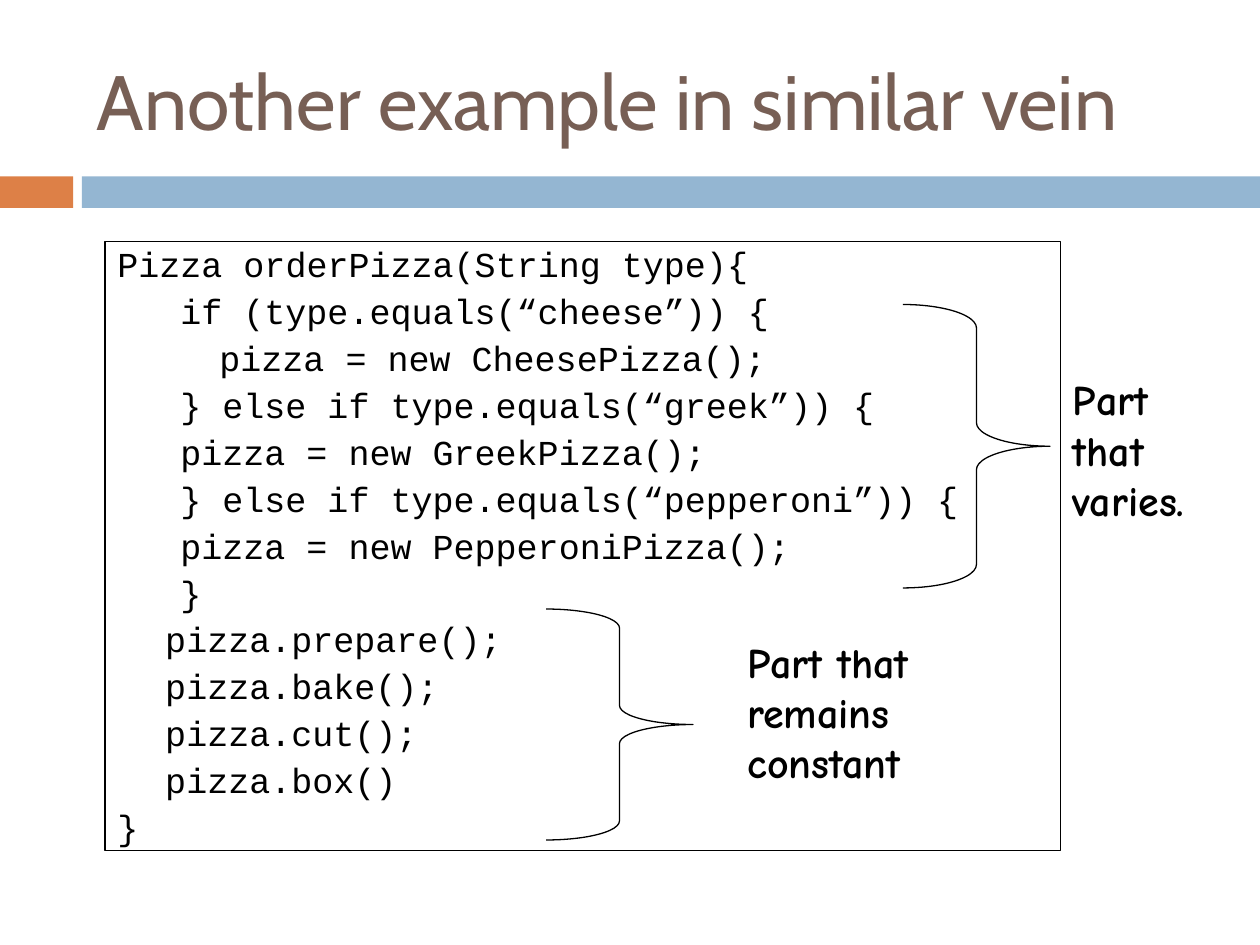
from pptx import Presentation
from pptx.dml.color import RGBColor
from pptx.enum.shapes import MSO_SHAPE as SHAPE
from pptx.enum.text import MSO_ANCHOR as ANCHOR, MSO_AUTO_SIZE as AUTO, PP_ALIGN as ALIGN
from pptx.util import Inches, Pt

COL = ROW = Inches(1 / 12)
CODE = [
    (0, "Pizza orderPizza(String type){"),
    (1, "if (type.equals(“cheese”)) {"),
    (1, "\tpizza = new CheesePizza();"),
    (1, "} else if type.equals(“greek”)) {"),
    (1, "pizza = new GreekPizza();"),
    (1, "} else if type.equals(“pepperoni”)) {"),
    (1, "pizza = new PepperoniPizza();"),
    (1, "}"),
    (0, "\tpizza.prepare();"),
    (0, "\tpizza.bake();"),
    (0, "\tpizza.cut();"),
    (0, "\tpizza.box()"),
    (0, "}"),
]
INDENTS = [(0.38, -0.38), (0.81, -0.31)]


def rgb(color):
    return RGBColor.from_string(color)


def grid(left, top, width, height):
    return int(left * COL), int(top * ROW), int(width * COL), int(height * ROW)


def style(font, name, size, color, bold=False):
    font.name, font.size, font.bold = name, Pt(size), bold
    font.color.rgb = rgb(color)


def add_shape(slide, kind, box, fill=None, line=None):
    sp = slide.shapes.add_shape(kind, *box)
    sp.shadow.inherit = False
    if fill:
        sp.fill.solid()
        sp.fill.fore_color.rgb = rgb(fill)
    else:
        sp.fill.background()
    if line:
        sp.line.color.rgb = rgb(line)
        sp.line.width = Pt(0.75)
    else:
        sp.line.fill.background()
    return sp


def add_title(slide, box, text):
    title = slide.shapes.title
    title.left, title.top, title.width, title.height = box
    tf = title.text_frame
    tf.text = text
    tf.vertical_anchor = ANCHOR.MIDDLE
    p = tf.paragraphs[0]
    p.alignment = ALIGN.LEFT
    style(p.font, "Cabin", 44, "775F55")


def add_band(slide, box):
    left, top, width, height = box
    accent, gap = int(width * 0.058), int(width * 0.007)
    add_shape(slide, SHAPE.RECTANGLE, (left, top, accent, height), fill="DD8047")
    start = accent + gap
    add_shape(slide, SHAPE.RECTANGLE, (left + start, top, width - start, height), fill="94B6D2")


def add_code(slide, box, lines):
    sp = add_shape(slide, SHAPE.RECTANGLE, box, line="000000")
    tf = sp.text_frame
    tf.word_wrap = True
    tf.vertical_anchor = ANCHOR.TOP
    for i, (level, text) in enumerate(lines):
        p = tf.add_paragraph() if i else tf.paragraphs[0]
        p.text = text
        p.level = level
        p.alignment = ALIGN.LEFT
        p.line_spacing = 0.9
        p.space_before = Pt(5.2 if i else 0)
        margin, indent = INDENTS[level]
        pPr = p._p.get_or_add_pPr()
        pPr.set("marL", str(Inches(margin)))
        pPr.set("indent", str(Inches(indent)))
        style(p.font, "Courier New", 20, "000000")


def add_note(slide, brace_box, curve, label_box, text):
    brace = add_shape(slide, SHAPE.RIGHT_BRACE, brace_box, line="000000")
    brace.adjustments[0] = curve
    brace.adjustments[1] = 0.5
    tf = slide.shapes.add_textbox(*label_box).text_frame
    tf.word_wrap = True
    tf.auto_size = AUTO.SHAPE_TO_FIT_TEXT
    tf.text = text
    style(tf.paragraphs[0].font, "Comic Neue", 24, "000000", bold=True)


def main():
    prs = Presentation()
    prs.slide_width, prs.slide_height = Inches(10), Inches(7.5)
    slide = prs.slides.add_slide(prs.slide_layouts[5])
    add_band(slide, (0, Inches(1.4), prs.slide_width, Inches(0.25)))
    add_title(slide, grid(8, 3, 107, 13), "Another example in similar vein")
    add_code(slide, grid(10, 23, 91, 58), CODE)
    add_note(slide, grid(86, 29, 14, 27), 0.16, grid(101, 35, 14, 15.6), "Part that varies.")
    add_note(slide, grid(52, 58, 14, 22), 0.13, grid(70, 60, 20, 15.6), "Part that remains constant")
    prs.save("out.pptx")


if __name__ == "__main__":
    main()
